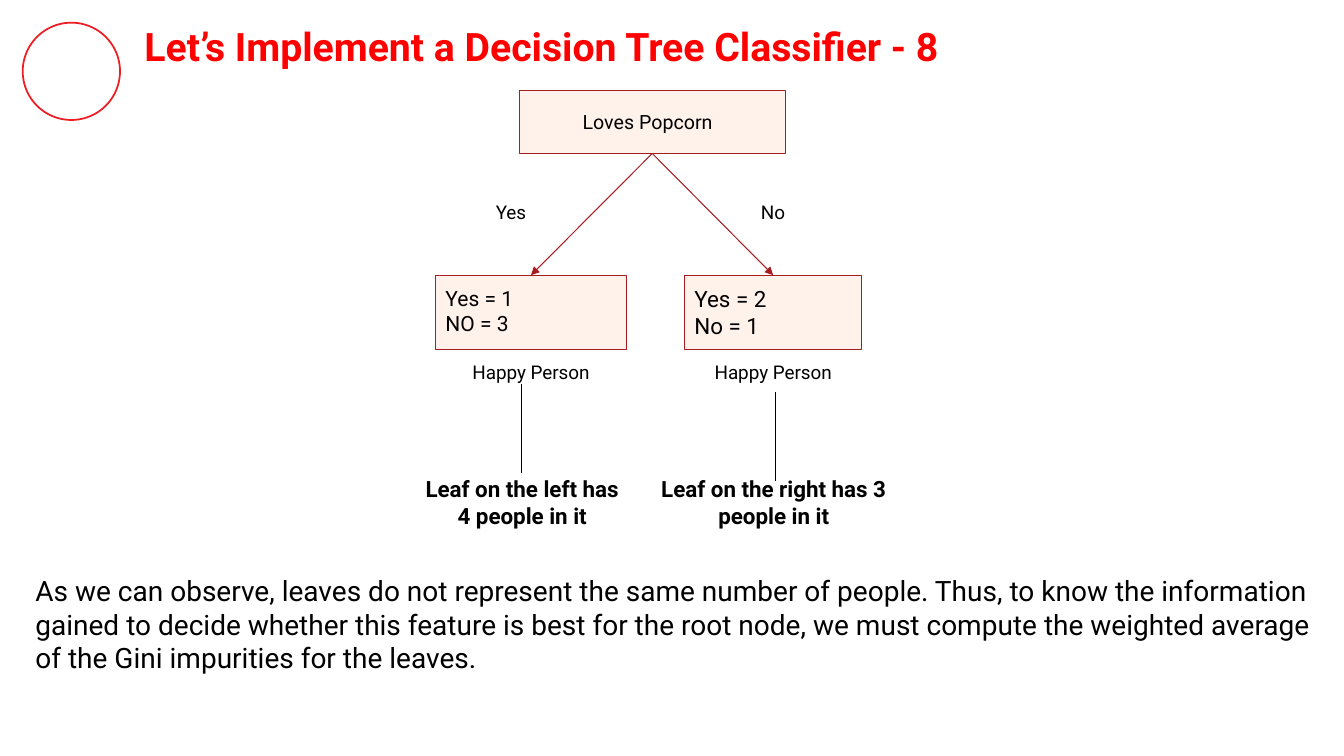
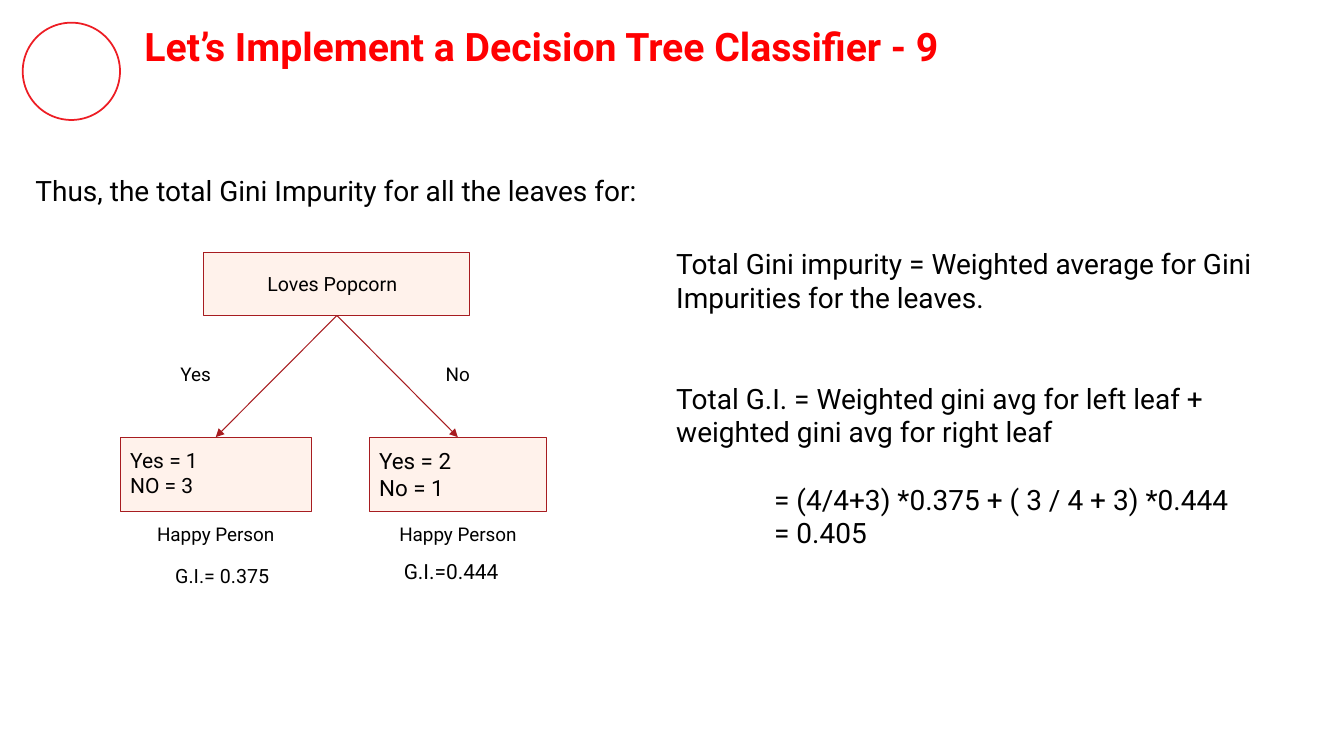
import lxml.etree
import pptx
import pptx.dml.color
import pptx.enum.shapes
import pptx.enum.text
import pptx.oxml.ns
import pptx.util

RED = pptx.dml.color.RGBColor(0xFF, 0x00, 0x01)
RING = pptx.dml.color.RGBColor(0xED, 0x1D, 0x24)
EDGE = pptx.dml.color.RGBColor(0xA7, 0x1C, 0x20)
CREAM = pptx.dml.color.RGBColor(0xFF, 0xF2, 0xEB)
BLACK = pptx.dml.color.RGBColor(0x00, 0x00, 0x00)
FONT = "Roboto"
WIDE = pptx.util.Inches(13.33)
HIGH = pptx.util.Inches(7.5)
PAD = pptx.util.Inches(0.1)
ALIGN = pptx.enum.text.PP_ALIGN
ANCHOR = pptx.enum.text.MSO_ANCHOR
SHAPE = pptx.enum.shapes.MSO_SHAPE
LINE = pptx.enum.shapes.MSO_CONNECTOR.STRAIGHT

LEAF_W, RIGHT_W = 14.2, 13.2
LEAF_Y, LEAF_H = 24.4, 9.87
LABEL_H = 5.07


def across(share):
    """Turn a percentage of the slide width into a length."""
    return pptx.util.Emu(round(WIDE * share / 100))


def down(share):
    """Turn a percentage of the slide height into a length."""
    return pptx.util.Emu(round(HIGH * share / 100))


def area(x, y, w, h):
    """Turn percentages of the slide into left, top, width and height."""
    return across(x), down(y), across(w), down(h)


def write(frame, text, size=20, bold=False, color=BLACK, align=ALIGN.LEFT,
          anchor=ANCHOR.TOP, lead=1.0, before=0, after=0, indent=0):
    """Add one formatted paragraph to a text frame."""
    frame.word_wrap = True
    frame.auto_size = pptx.enum.text.MSO_AUTO_SIZE.NONE
    frame.vertical_anchor = anchor
    frame.margin_left = frame.margin_right = PAD
    frame.margin_top = frame.margin_bottom = PAD
    para = frame.paragraphs[-1]
    if para.text:
        para = frame.add_paragraph()
    para.alignment = align
    para.line_spacing = lead
    para.space_before = pptx.util.Pt(before)
    para.space_after = pptx.util.Pt(after)
    props = para._p.get_or_add_pPr()
    props.set("marL", str(across(indent)))
    props.set("indent", "0")
    lxml.etree.SubElement(props, pptx.oxml.ns.qn("a:buNone"))
    run = para.add_run()
    run.text = text
    run.font.name = FONT
    run.font.size = pptx.util.Pt(size)
    run.font.bold = bold
    run.font.color.rgb = color


def fill(holder, place, text, **style):
    """Move a placeholder and write its text."""
    holder.left, holder.top, holder.width, holder.height = place
    write(holder.text_frame, text, **style)


def note(slide, place, text, **style):
    """Add a text box and return its frame."""
    frame = slide.shapes.add_textbox(*place).text_frame
    write(frame, text, **style)
    return frame


def node(slide, place, lines, **style):
    """Add a bordered tree box with one paragraph per line."""
    box = slide.shapes.add_shape(SHAPE.RECTANGLE, *place)
    box.shadow.inherit = False
    box.fill.solid()
    box.fill.fore_color.rgb = CREAM
    box.line.color.rgb = EDGE
    box.line.width = pptx.util.Pt(0.75)
    for text in lines:
        write(box.text_frame, text, **style)
    return box


def link(slide, start=(0, 0), end=(0, 0), color=BLACK):
    """Add a thin straight line without a shadow."""
    line = slide.shapes.add_connector(LINE, *start, *end)
    line.line.color.rgb = color
    line.line.width = pptx.util.Pt(0.75)
    lxml.etree.SubElement(line.element.spPr, pptx.oxml.ns.qn("a:effectLst"))
    return line


def arrow(slide, root, leaf):
    """Join a root box to the top of a leaf with an arrow."""
    line = link(slide, color=EDGE)
    line.begin_connect(root, 2)
    line.end_connect(leaf, 0)
    edge = line.element.spPr.find(pptx.oxml.ns.qn("a:ln"))
    lxml.etree.SubElement(edge, pptx.oxml.ns.qn("a:tailEnd"), type="triangle")


def tree(slide, x, y):
    """Draw the popcorn tree with its root box at the given corner."""
    root = node(slide, area(x, y, 19.8, 8.3), ["Loves Popcorn"], size=14,
                anchor=ANCHOR.MIDDLE, indent=3.98)
    sides = (
        ("Yes", -2.48, -6.22, LEAF_W, ["Yes = 1", "NO = 3"], 15),
        ("No", 17.25, 12.3, RIGHT_W, ["Yes = 2", "No = 1"], 16),
    )
    for word, shift, step, width, lines, size in sides:
        place = area(x + step, y + LEAF_Y, width, LEAF_H)
        leaf = node(slide, place, lines, size=size)
        arrow(slide, root, leaf)
        note(slide, area(x + shift, y + 13.75, 5.2, LABEL_H), word,
             size=13.5, lead=0.8)
        note(slide, area(x + step, y + 34.9, width, LABEL_H), "Happy Person",
             size=13.5, lead=0.8, align=ALIGN.CENTER)


def brand(slide):
    """Put the ring on the layout that the slides share."""
    ring = slide.shapes.add_shape(SHAPE.OVAL, *area(1.69, 3, 7.24, 12.87))
    ring.shadow.inherit = False
    ring.fill.background()
    ring.line.color.rgb = RING
    ring.line.width = pptx.util.Pt(1.25)
    slide.slide_layout.shapes.element.append(ring.element)


def page(deck, count, place, text):
    """Add a slide with its numbered title and body paragraph."""
    slide = deck.slides.add_slide(deck.slide_layouts[1])
    fill(slide.shapes.title, area(10, 1.6, 83.85, 8.9),
         f"Let’s Implement a Decision Tree Classifier - {count}",
         size=28, bold=True, color=RED)
    fill(slide.placeholders[1], place, text, anchor=ANCHOR.MIDDLE, after=12)
    return slide


def leaves(deck):
    """Build the slide that counts the people in each leaf."""
    slide = page(
        deck, 8, area(1.88, 73.33, 97.2, 18.4),
        "As we can observe, leaves do not represent the same number of "
        "people. Thus, to know the information gained to decide whether this "
        "feature is best for the root node, we must compute the weighted "
        "average of the Gini impurities for the leaves.")
    tree(slide, 38.63, 12)
    sides = (
        ("Leaf on the left has 4 people in it", 30.38, 16.95, 38.78, 50.8),
        ("Leaf on the right has 3 people in it", 48.38, 18.38, 57.68, 51.87),
    )
    for text, x, width, stem, top in sides:
        link(slide, (across(stem), down(top)),
             (across(stem), down(top + 11.73)))
        note(slide, area(x, 61.47, width, 9.87), text, size=16, bold=True,
             align=ALIGN.CENTER)
    return slide


def total(deck):
    """Build the slide that sums up the Gini impurity."""
    slide = page(deck, 9, area(1.88, 20.4, 96.3, 9.47),
                 "Thus, the total Gini Impurity for all the leaves for:")
    tree(slide, 15.17, 33.43)
    note(slide, area(9.75, 73.2, 13.58, 5.87), "G.I.= 0.375", size=14,
         align=ALIGN.CENTER)
    note(slide, area(26.18, 73.2, 14.78, 5.87), "G.I.=0.444", size=14.9,
         lead=0.8, align=ALIGN.CENTER)
    frame = note(slide, area(49.58, 31.33, 46.5, 19.33),
                 "Total Gini impurity = Weighted average for Gini Impurities "
                 "for the leaves.")
    write(frame, "Total G.I. = Weighted gini avg for left leaf + weighted "
          "gini avg for right leaf", before=48)
    write(frame, "= (4/4+3) *0.375 + ( 3 / 4 + 3) *0.444", before=24,
          indent=7.28)
    write(frame, "= 0.405", indent=7.28)


def main():
    """Build and save the deck."""
    deck = pptx.Presentation()
    deck.slide_width, deck.slide_height = WIDE, HIGH
    brand(leaves(deck))
    total(deck)
    deck.save("out.pptx")


if __name__ == "__main__":
    main()
